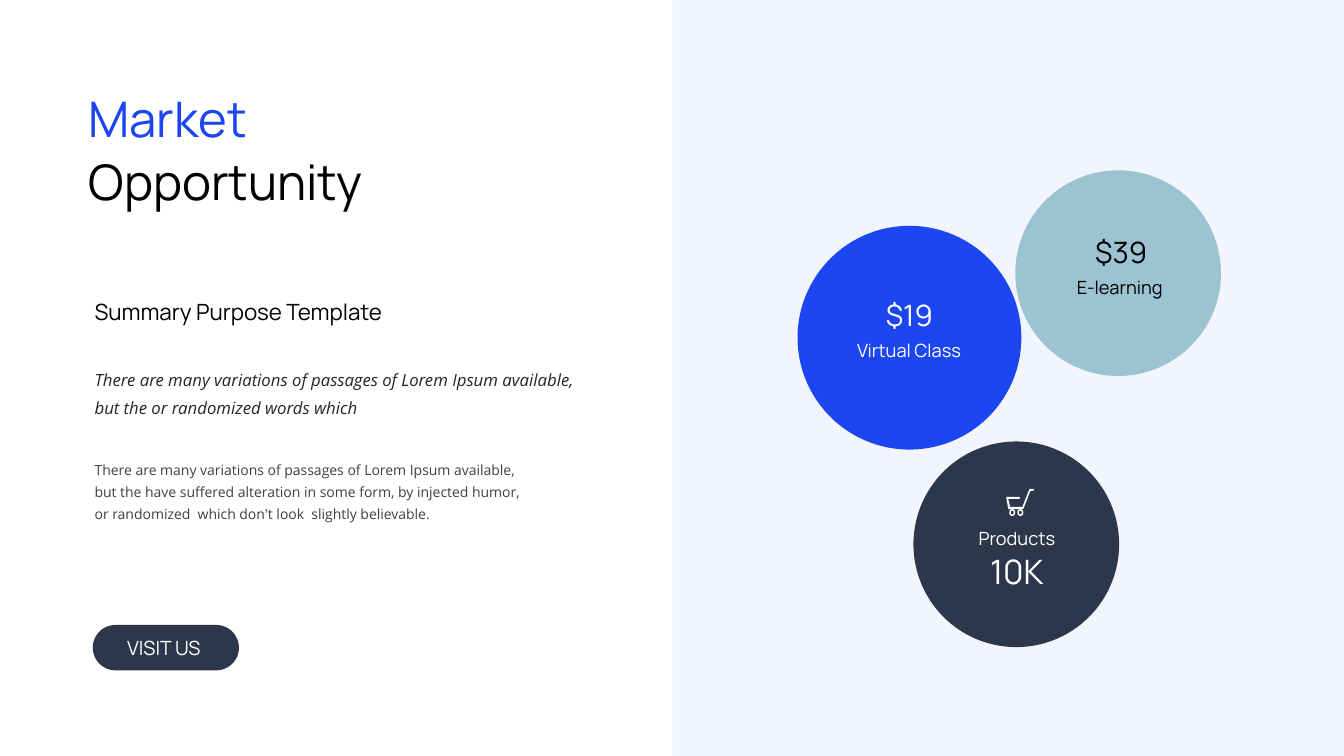
"""Build the Market Opportunity slide."""
from lxml import etree
from pptx import Presentation
from pptx.dml.color import RGBColor
from pptx.enum.shapes import MSO_SHAPE as SHAPE
from pptx.enum.text import MSO_ANCHOR as ANCHOR, PP_ALIGN as ALIGN
from pptx.oxml.ns import qn
from pptx.util import Inches, Pt

BLUE = RGBColor(0x1C, 0x46, 0xF2)
NAVY = RGBColor(0x2D, 0x37, 0x4B)
TEAL = RGBColor(0x9B, 0xC3, 0xD2)
BLACK = RGBColor(0, 0, 0)
WHITE = RGBColor(0xFF, 0xFF, 0xFF)
DARK_GRAY = RGBColor(0x26, 0x26, 0x26)
GRAY = RGBColor(0x40, 0x40, 0x40)
HEAD, BODY = "Manrope", "Open Sans"

SHAPES = [
    (SHAPE.RECTANGLE, (6.67, 0, 6.67, 7.5), BLUE, None, 5),
    (SHAPE.ROUNDED_RECTANGLE, (0.92, 6.2, 1.45, 0.45), NAVY, 0.5, 100),
    (SHAPE.OVAL, (10.07, 1.69, 2.04, 2.04), TEAL, None, 100),
    (SHAPE.OVAL, (7.91, 2.24, 2.22, 2.22), BLUE, None, 100),
    (SHAPE.OVAL, (9.06, 4.38, 2.04, 2.04), NAVY, None, 100),
    (SHAPE.DONUT, (10.01, 5.05, 0.06, 0.07), WHITE, 0.25, 100),
    (SHAPE.DONUT, (10.09, 5.05, 0.06, 0.07), WHITE, 0.25, 100),
]
LEFT_TEXTS = [
    ((0.78, 0.79, 3.81, 1.34), [("Market", BLUE), (" Opportunity", BLACK)], 35, HEAD, 45, False),
    ((0.84, 2.9, 3.24, 0.65), [("Summary Purpose Template", BLACK)], 16, HEAD, 20, False),
    ((0.84, 3.54, 5.04, 0.64),
     [("There are many variations of passages of Lorem Ipsum available, "
       "but the or randomized words which", DARK_GRAY)], 12, BODY, 20, True),
    ((0.84, 4.47, 4.56, 0.75),
     [("There are many variations of passages of Lorem Ipsum available, "
       "but the have suffered alteration in some form, by injected humor, "
       "or randomized  which don't look  slightly believable.", GRAY)], 10, BODY, 16, False),
]
CENTERED_TEXTS = [
    ((1.08, 6.26, 1.09, 0.34), "VISIT US", 14, WHITE),
    ((10.75, 2.27, 0.74, 0.45), "$39", 21, BLACK),
    ((8.68, 2.9, 0.68, 0.45), "$19", 21, WHITE),
    ((9.49, 5.18, 1.19, 0.32), "Products", 13, WHITE),
    ((9.49, 5.42, 1.19, 0.5), "10K", 24, WHITE),
]
CIRCLE_LABELS = [
    ((10.32, 2.76, 1.57, 0.2), "E-learning", 13, BLACK),
    ((8.23, 3.39, 1.57, 0.2), "Virtual Class", 13, WHITE),
]
CART = [(10.26, 4.86), (10.24, 4.87), (10.22, 4.87), (10.15, 5.05), (10, 5.05),
        (9.98, 4.93), (10.11, 4.93), (10.12, 4.94), (10.11, 4.95), (10, 4.95),
        (10.02, 5.03), (10.14, 5.03), (10.21, 4.85), (10.25, 4.85)]


def paint(sp, color):
    sp.shadow.inherit = False
    sp.fill.solid()
    sp.fill.fore_color.rgb = color
    sp.line.fill.background()


def add_shape(s, kind, box, color, adjustment, opacity):
    sp = s.shapes.add_shape(kind, *map(Inches, box))
    paint(sp, color)
    if adjustment is not None:
        sp.adjustments[0] = adjustment
    if opacity < 100:
        clr = sp.fill._xPr.find(qn("a:solidFill"))[0]
        etree.SubElement(clr, qn("a:alpha"), val=str(opacity * 1000))


def add_text(s, box, runs, size, font, spacing=None, italic=False, align=ALIGN.LEFT):
    tf = s.shapes.add_textbox(*map(Inches, box)).text_frame
    tf.word_wrap = True
    p = tf.paragraphs[0]
    p.alignment = align
    p.line_spacing = spacing
    p.font.size, p.font.name, p.font.italic = Pt(size), font, italic
    if len(runs) == 1:
        p.font.color.rgb = runs[0][1]
    for text, color in runs:
        r = p.add_run()
        r.text = text
        if len(runs) > 1:
            r.font.color.rgb = color
    return tf


def main():
    prs = Presentation()
    prs.slide_width, prs.slide_height = Inches(13.33), Inches(7.5)
    s = prs.slides.add_slide(prs.slide_layouts[6])
    for shape in SHAPES:
        add_shape(s, *shape)
    for box, runs, size, font, spacing, italic in LEFT_TEXTS:
        add_text(s, box, runs, size, font, Pt(spacing), italic)
    for box, text, size, color in CENTERED_TEXTS:
        add_text(s, box, [(text, color)], size, HEAD, align=ALIGN.CENTER)
    for box, text, size, color in CIRCLE_LABELS:
        tf = add_text(s, box, [(text, color)], size, HEAD, 0.9, align=ALIGN.CENTER)
        tf.vertical_anchor = ANCHOR.MIDDLE
        tf.margin_left = tf.margin_right = tf.margin_top = tf.margin_bottom = 0
    points = [(Inches(x), Inches(y)) for x, y in CART]
    cart = s.shapes.build_freeform(*points[0])
    cart.add_line_segments(points[1:], close=True)
    paint(cart.convert_to_shape(), WHITE)
    prs.save("out.pptx")


if __name__ == "__main__":
    main()
